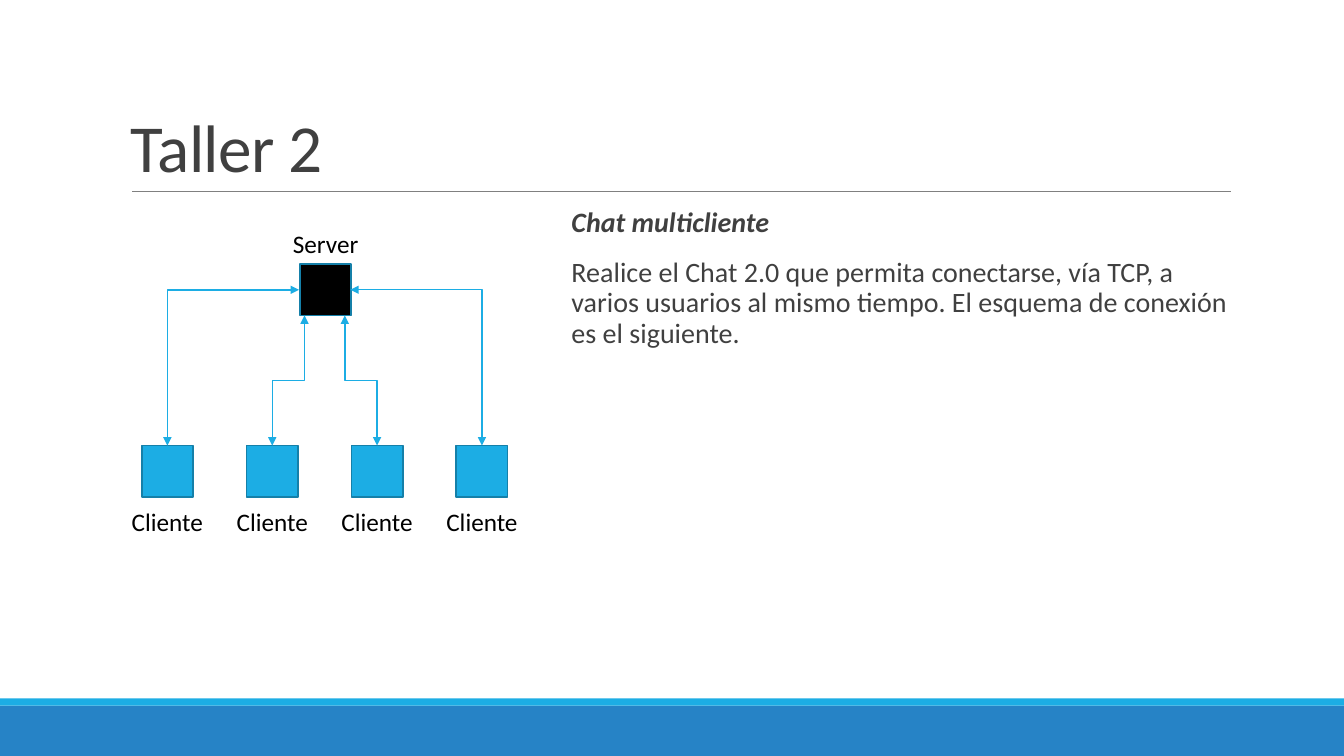
from lxml.etree import SubElement
from pptx import Presentation
from pptx.dml.color import RGBColor
from pptx.enum.shapes import MSO_CONNECTOR, MSO_SHAPE
from pptx.enum.text import MSO_ANCHOR, PP_ALIGN
from pptx.oxml.ns import qn
from pptx.util import Inches, Pt

W, H = 13.33, 7.5
BLUE, CYAN, EDGE, GREY, BLACK = "2683C6", "1CADE4", "1580A9", "404040", "000000"


def rgb(code):
    """Turn a hex string into a colour."""
    return RGBColor.from_string(code)


def add_rect(sl, box, fill, line=None):
    """Add a plain rectangle, outlined if a line colour is given."""
    sp = sl.shapes.add_shape(MSO_SHAPE.RECTANGLE, *map(Inches, box))
    sp.shadow.inherit = False
    sp.fill.solid()
    sp.fill.fore_color.rgb = rgb(fill)
    if line:
        sp.line.color.rgb = rgb(line)
        sp.line.width = Pt(1.25)
    else:
        sp.line.fill.background()
    return sp


def add_text(sl, box, lines, size, color, wrap=True):
    """Add a text box with one paragraph per line and return its frame."""
    tf = sl.shapes.add_textbox(*map(Inches, box)).text_frame
    tf.word_wrap = wrap
    tf.text = "\n".join(lines)
    for p in tf.paragraphs:
        for r in p.runs:
            r.font.name = "Calibri"
            r.font.size = Pt(size)
            r.font.color.rgb = rgb(color)
    return tf


def add_line(sl, kind, start, end, color, width):
    """Add a connector without a shadow."""
    cn = sl.shapes.add_connector(kind, *map(Inches, start + end))
    cn.line.color.rgb = rgb(color)
    cn.line.width = Pt(width)
    SubElement(cn._element.spPr, qn("a:effectLst"))
    return cn


def add_elbow(sl, start, end, preset):
    """Add a two-headed elbow that leaves its start point upwards."""
    (x1, y1), (x2, y2) = start, end
    cx, cy = (x1 + x2) / 2, (y1 + y2) / 2
    half_w, half_h = (y1 - y2) / 2, (x2 - x1) / 2
    # The elbow is laid out sideways, then turned a quarter to the left.
    cn = add_line(sl, MSO_CONNECTOR.ELBOW, (cx - half_w, cy - half_h),
                  (cx + half_w, cy + half_h), CYAN, 1)
    sp_pr = cn._element.spPr
    sp_pr.find(qn("a:xfrm")).set("rot", str(270 * 60000))
    sp_pr.find(qn("a:prstGeom")).set("prst", preset)
    ln = cn.line._get_or_add_ln()
    for tag in ("a:headEnd", "a:tailEnd"):
        SubElement(ln, qn(tag)).set("type", "triangle")


def add_footer(sl, box):
    """Draw the two-tone band at the foot of the slide."""
    x, y, w, h = box
    stripe = 0.07
    add_rect(sl, (x, y + stripe, w, h - stripe), BLUE)
    add_rect(sl, (x, y, w, stripe), CYAN)


def add_title(sl, box, title):
    """Set the title at the bottom of its box, above a thin rule."""
    x, y, w, h = box
    tf = add_text(sl, box, [title], 48, GREY)
    tf.vertical_anchor = MSO_ANCHOR.BOTTOM
    p = tf.paragraphs[0]
    p.line_spacing = 0.85
    p.runs[0].font._element.set("spc", "-50")
    add_line(sl, MSO_CONNECTOR.STRAIGHT, (x + 0.11, y + h),
             (x + w + 0.01, y + h), "808080", 0.5)


def add_body(sl, box, heading, text):
    """Write a bold italic heading followed by a paragraph."""
    tf = add_text(sl, box, [heading, text], 20, GREY)
    tf.margin_right = 0
    for p in tf.paragraphs:
        p.line_spacing = 0.9
        p.space_before, p.space_after = Pt(12), Pt(2)
    font = tf.paragraphs[0].runs[0].font
    font.bold = font.italic = True


def add_node(sl, cx, top, side, fill, label, label_top, label_w):
    """Draw a square node centred on cx with its label."""
    add_rect(sl, (cx - side / 2, top, side, side), fill, EDGE)
    tf = add_text(sl, (cx - label_w / 2, label_top, label_w, 0.4),
                  [label], 18, BLACK, wrap=False)
    tf.paragraphs[0].alignment = PP_ALIGN.CENTER


def add_network(sl, box, clients=4):
    """Draw a server joined to a row of clients that fills the box."""
    x, y, w, h = box
    side, label_w, label_h = 0.51, 0.92, 0.4
    step = (w - label_w) / (clients - 1)
    mid = x + w / 2
    server_top = y + label_h
    client_top = y + h - label_h - 0.04 - side
    add_node(sl, mid + 0.01, server_top, side, BLACK, "Server", y, 0.86)
    for i in range(clients):
        cx = x + label_w / 2 + i * step
        add_node(sl, cx, client_top, side, CYAN, "Cliente",
                 y + h - label_h, label_w)
        sign = 1 if cx > mid else -1
        if i in (0, clients - 1):
            port = (mid + sign * side / 2, server_top + side / 2)
            preset = "bentConnector2"
        else:
            port = (mid + sign * 0.2, server_top + side)
            preset = "bentConnector3"
        add_elbow(sl, (cx, client_top), port, preset)


prs = Presentation()
prs.slide_width, prs.slide_height = Inches(W), Inches(H)
sl = prs.slides.add_slide(prs.slide_layouts[6])
add_footer(sl, (0, 6.93, W, H - 6.93))
add_title(sl, (1.2, 0.31, 11, 1.59), "Taller 2")
add_body(sl, (5.57, 2.02, 6.63, 4.4), "Chat multicliente",
         "Realice el Chat 2.0 que permita conectarse, vía TCP, a varios "
         "usuarios al mismo tiempo. El esquema de conexión es el siguiente.")
add_network(sl, (1.2, 2.22, 4.04, 3.15))
prs.save("out.pptx")
